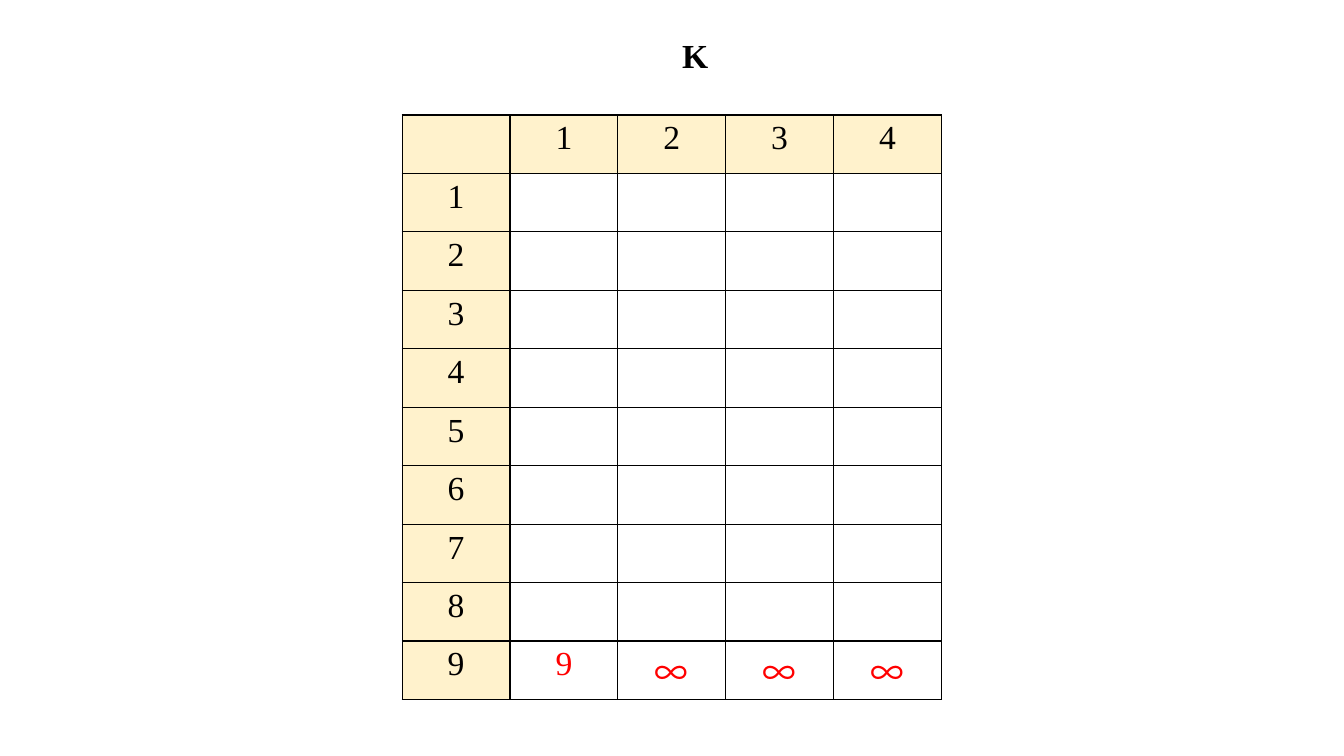
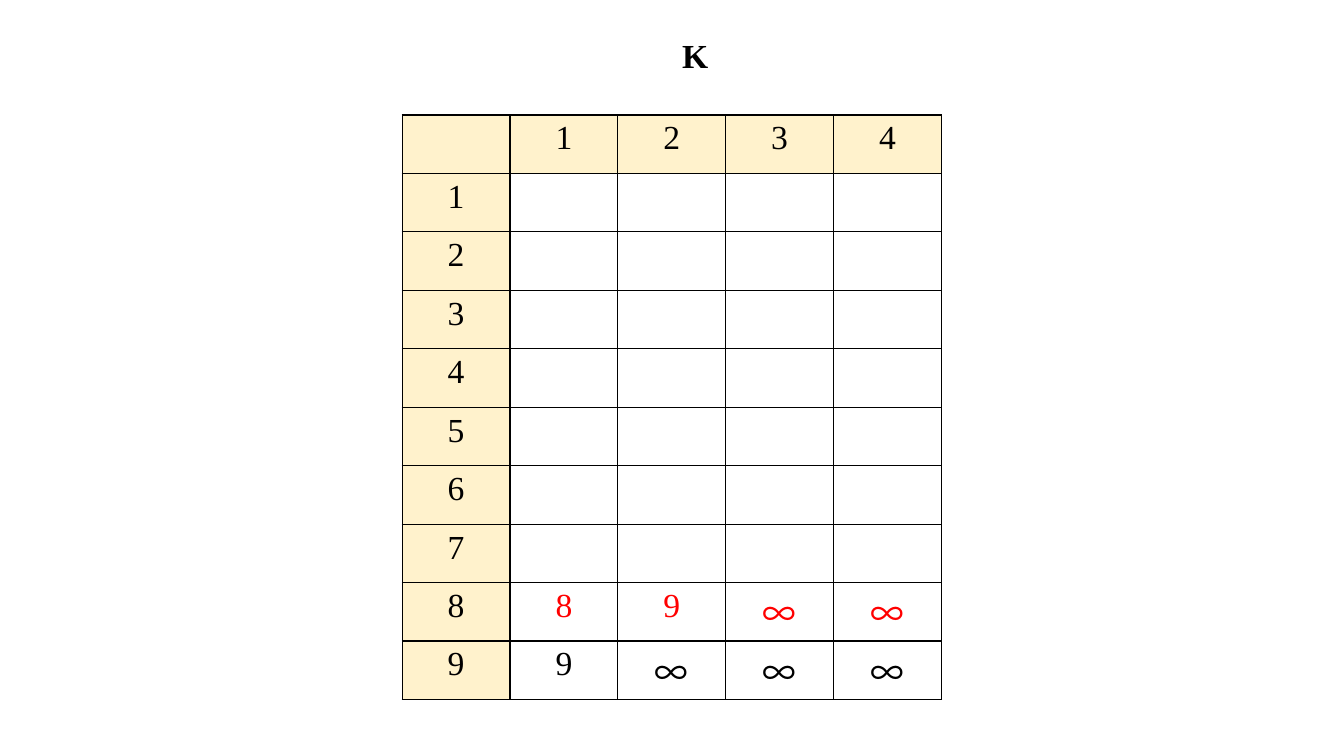
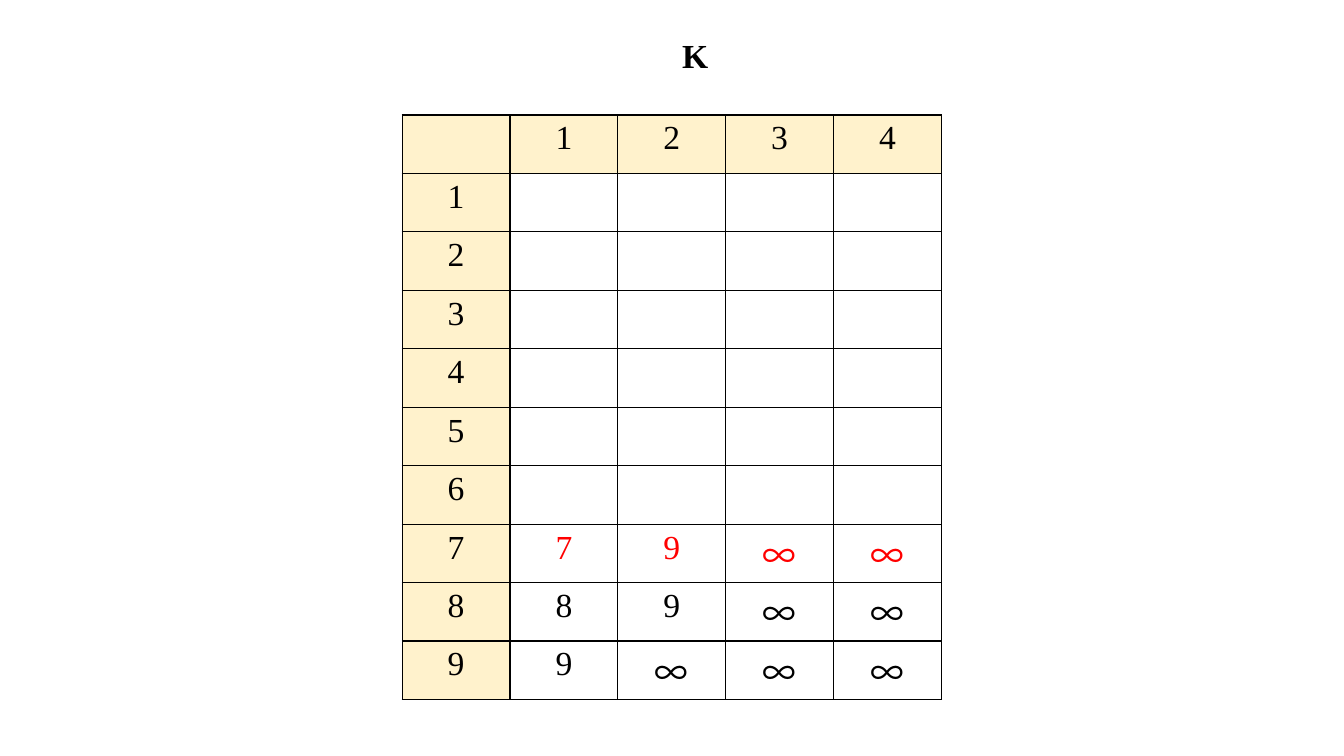
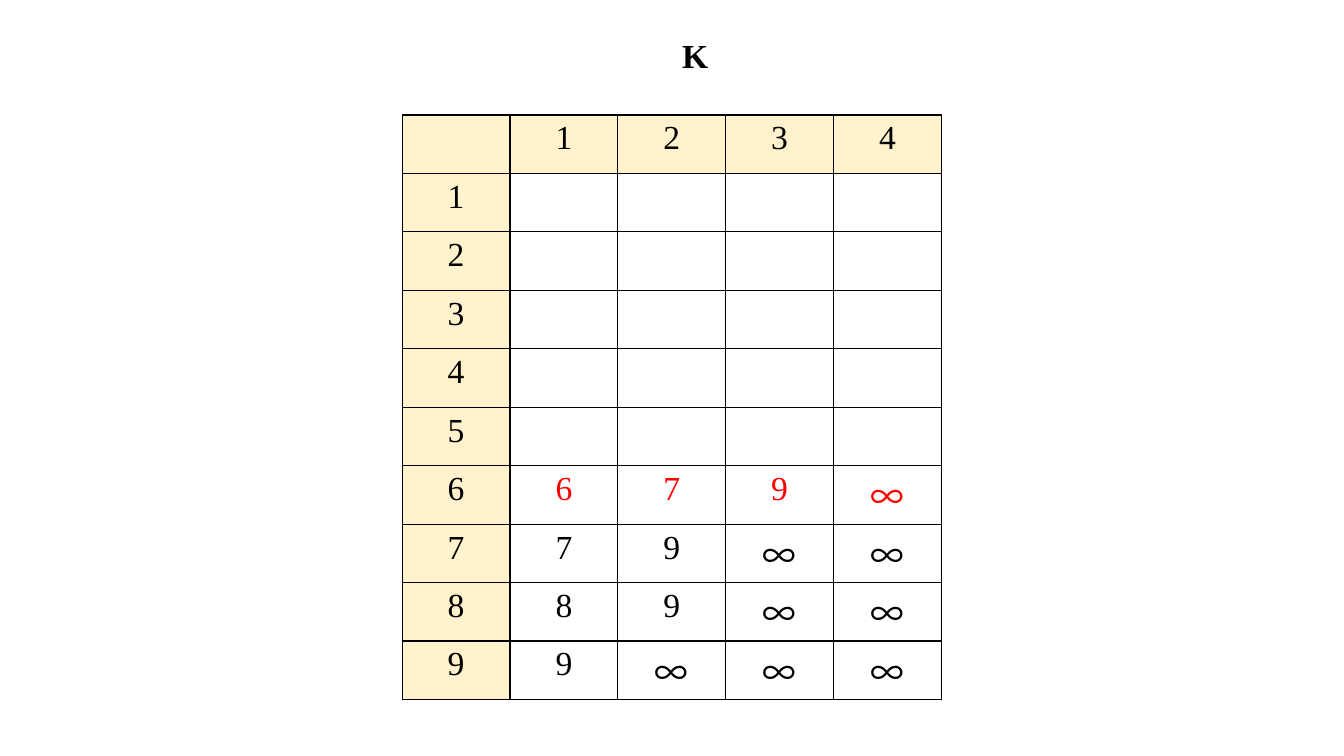
from lxml.etree import SubElement
from pptx import Presentation
from pptx.dml.color import RGBColor
from pptx.enum.text import MSO_AUTO_SIZE, PP_ALIGN
from pptx.oxml.ns import qn
from pptx.util import Pt

BLACK = RGBColor(0x00, 0x00, 0x00)
RED = RGBColor(0xFF, 0x00, 0x00)
CREAM = RGBColor(0xFF, 0xF2, 0xCC)
TEXT_FONT = "Times New Roman"
SYMBOL_FONT = "Noto Sans CJK SC"
TEXT_SIZE = Pt(24)

TITLE_BOX = (480.24, 21.6, 33.12, 36)
GRID_BOX = (287.28, 82.08, 385.2, 417.6)
LAST_ROW = 9
COLUMN_COUNT = 4
FILLED_ROWS = {
    9: ["9", "∞", "∞", "∞"],
    8: ["8", "9", "∞", "∞"],
    7: ["7", "9", "∞", "∞"],
    6: ["6", "7", "9", "∞"],
}


def style_text(paragraph, color, font_name=TEXT_FONT, bold=False):
    """Set the font of a paragraph, for Latin and East Asian text alike."""
    font = paragraph.font
    font.size = TEXT_SIZE
    font.bold = bold
    font.color.rgb = color
    font.name = font_name
    defaults = paragraph._p.pPr.find(qn("a:defRPr"))
    SubElement(defaults, qn("a:ea"), typeface=font_name)


def draw_borders(cell):
    """Give a cell a thin black line on all four sides."""
    properties = cell._tc.get_or_add_tcPr()
    for position, side in enumerate(("a:lnL", "a:lnR", "a:lnT", "a:lnB")):
        line = properties.makeelement(qn(side), {"w": str(Pt(1))})
        properties.insert(position, line)
        fill = SubElement(line, qn("a:solidFill"))
        SubElement(fill, qn("a:srgbClr"), val=str(BLACK))


def fill_cell(cell, value, color, is_header):
    """Write one value into a cell and set its fill and borders."""
    if is_header:
        cell.fill.solid()
        cell.fill.fore_color.rgb = CREAM
    else:
        cell.fill.background()
    draw_borders(cell)
    if value:
        cell.text = value
        paragraph = cell.text_frame.paragraphs[0]
        paragraph.alignment = PP_ALIGN.CENTER
        style_text(paragraph, color, SYMBOL_FONT if value == "∞" else TEXT_FONT)


def add_title(slide, box):
    """Place the bold heading above the grid."""
    frame = slide.shapes.add_textbox(*map(Pt, box)).text_frame
    frame.word_wrap = False
    frame.auto_size = MSO_AUTO_SIZE.SHAPE_TO_FIT_TEXT
    frame.text = "K"
    style_text(frame.paragraphs[0], BLACK, bold=True)


def add_grid(slide, box, newest_row):
    """Place the grid, filled from its last row up to the newest one, in red."""
    grid = slide.shapes.add_table(LAST_ROW + 1, COLUMN_COUNT + 1, *map(Pt, box)).table
    grid.first_row = grid.horz_banding = False
    for column in grid.columns:
        column.width = Pt(box[2] / (COLUMN_COUNT + 1))
    header = [""] + [str(number) for number in range(1, COLUMN_COUNT + 1)]
    for row_number, row in enumerate(grid.rows):
        row.height = Pt(box[3] / (LAST_ROW + 1))
        if row_number == 0:
            values = header
        elif row_number >= newest_row:
            values = [str(row_number)] + FILLED_ROWS[row_number]
        else:
            values = [str(row_number)] + [""] * COLUMN_COUNT
        for column_number, value in enumerate(values):
            is_header = row_number == 0 or column_number == 0
            is_new = row_number == newest_row and not is_header
            cell = grid.cell(row_number, column_number)
            fill_cell(cell, value, RED if is_new else BLACK, is_header)


def main():
    """Build one slide for each newly filled row."""
    presentation = Presentation()
    presentation.slide_width = Pt(960)
    presentation.slide_height = Pt(540)
    for newest_row in FILLED_ROWS:
        slide = presentation.slides.add_slide(presentation.slide_layouts[6])
        add_grid(slide, GRID_BOX, newest_row)
        add_title(slide, TITLE_BOX)
    presentation.save("out.pptx")


if __name__ == "__main__":
    main()
